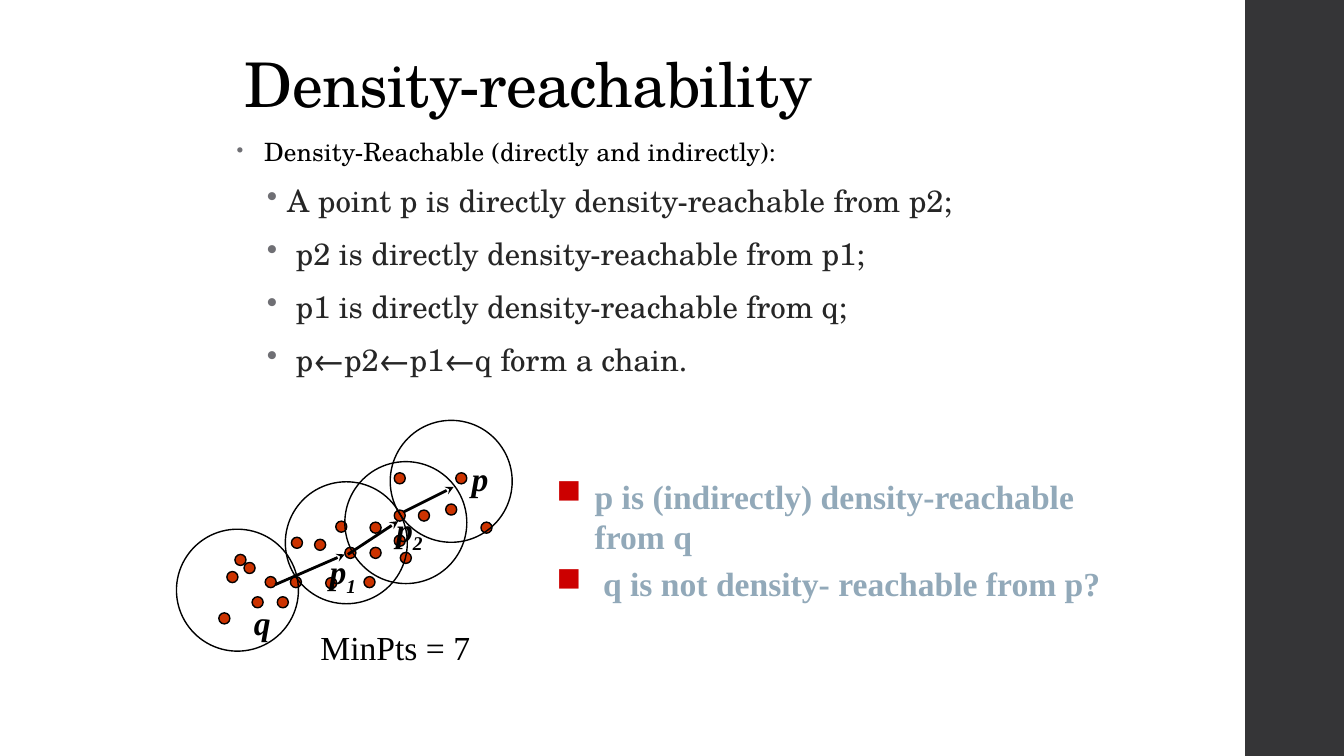
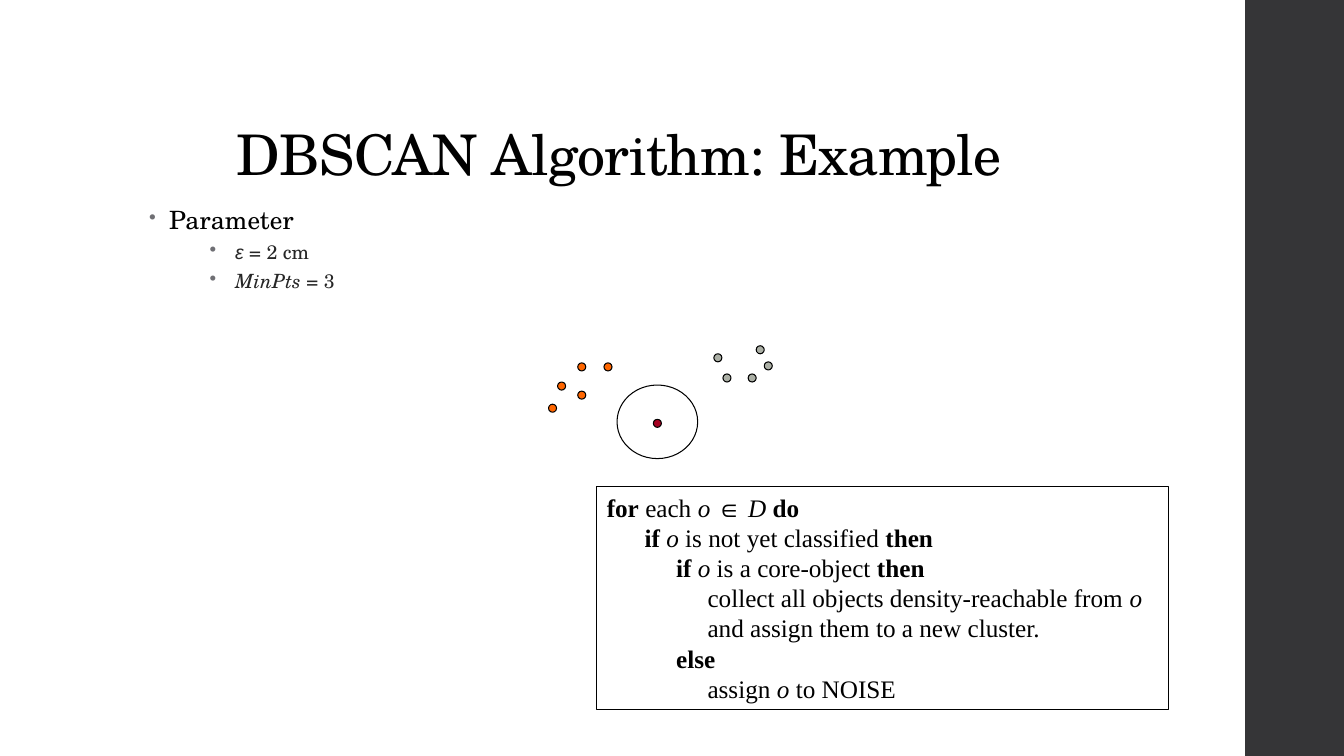
"""Build two slides on density-reachability and the DBSCAN algorithm."""
import lxml.etree
import pptx
import pptx.dml.color
import pptx.enum.shapes
import pptx.enum.text
import pptx.oxml.ns
import pptx.util

EMU_PER_PX = 9144


class Theme:
    """Colours, fonts, type sizes and paragraph formats of the deck."""

    ink, soft_ink, band = "000000", "262626", "353537"
    bullet, claim, claim_mark = "6F6F74", "92A9B9", "CC0000"
    point, cluster, unvisited, core = "CC3300", "FF6600", "ABAFA5", "A50021"
    schola, times, symbol = "TeX Gyre Schola", "Times New Roman", "Arial"

    title = {"name": schola, "color": ink, "spc": -50, "bold": False}
    lead = {"name": schola, "size": 18, "color": ink, "spc": 10}
    item = {"name": schola, "size": 22, "color": soft_ink}
    detail = {"name": schola, "size": 14, "color": soft_ink}
    statement = {"name": times, "size": 24, "color": claim, "bold": True}
    caption = {"name": times, "size": 24, "color": ink}
    label = {**caption, "bold": True, "italic": True}
    subscript = {**label, "baseline": -25000}
    code = {"name": times, "size": 18, "color": ink}
    keyword = {**code, "bold": True}
    variable = {**code, "italic": True}

    title_format = {"line_spacing": 0.9, "alignment": pptx.enum.text.PP_ALIGN.LEFT}
    lead_format = {"line_spacing": 0.95, "space_after": pptx.util.Pt(2),
                   "bullet": ("•", bullet, 20, 20, 80)}
    item_format = {"line_spacing": 0.9, "space_before": pptx.util.Pt(11),
                   "space_after": pptx.util.Pt(3), "bullet": ("•", bullet, 50, 20, 100)}
    detail_format = {**item_format, "space_before": pptx.util.Pt(3),
                     "bullet": ("•", bullet, 80, 20, 100)}
    statement_format = {"space_before": pptx.util.Pt(4.8),
                        "bullet": ("■", claim_mark, 38, 38, 100)}


def px(length):
    return pptx.util.Emu(length * EMU_PER_PX)


def rgb(value):
    return pptx.dml.color.RGBColor.from_string(value)


def add_xml(parent, tag, **attributes):
    return lxml.etree.SubElement(parent, pptx.oxml.ns.qn(tag), attributes)


class Deck:
    """Hold the theme and the current slide, and draw each kind of element."""

    def __init__(self, theme):
        self.theme = theme
        self.presentation = pptx.Presentation()
        self.presentation.slide_width = px(1333)
        self.presentation.slide_height = px(750)

    def new_slide(self, heading, box, size):
        layout = self.presentation.slide_layouts.get_by_name("Title Only")
        self.slide = self.presentation.slides.add_slide(layout)
        title = self.slide.shapes.title
        title.left, title.top, title.width, title.height = map(px, box)
        title.text_frame.vertical_anchor = pptx.enum.text.MSO_ANCHOR.BOTTOM
        self.fill_text(title.text_frame, [
            ([(heading, {**self.theme.title, "size": size})], self.theme.title_format)])
        self.shape("RECTANGLE", (1235, 0, 98, 750), self.theme.band)

    def fill_text(self, frame, paragraphs):
        frame.word_wrap = True
        frame.auto_size = pptx.enum.text.MSO_AUTO_SIZE.NONE
        for position, (runs, layout) in enumerate(paragraphs):
            paragraph = frame.add_paragraph() if position else frame.paragraphs[0]
            if "bullet" in layout:
                self.bullet(paragraph, *layout["bullet"])
            for name, value in layout.items():
                if name != "bullet" and (position or name != "space_before"):
                    setattr(paragraph, name, value)
            for text, style in runs:
                self.run(paragraph, text, style)

    def bullet(self, paragraph, mark, color, margin, hanging, percent):
        properties = paragraph._p.get_or_add_pPr()
        properties.set("marL", str(px(margin)))
        properties.set("indent", str(px(-hanging)))
        add_xml(add_xml(properties, "a:buClr"), "a:srgbClr", val=color)
        add_xml(properties, "a:buSzPct", val=str(percent * 1000))
        add_xml(properties, "a:buChar", char=mark)

    def run(self, paragraph, text, style):
        run = paragraph.add_run()
        run.text = text
        for name, value in style.items():
            if name == "color":
                run.font.color.rgb = rgb(value)
            elif name in ("spc", "baseline"):
                run._r.get_or_add_rPr().set(name, str(value))
            else:
                setattr(run.font, name, pptx.util.Pt(value) if name == "size" else value)

    def text(self, box, paragraphs, outline=None):
        textbox = self.slide.shapes.add_textbox(*map(px, box))
        self.fill_text(textbox.text_frame, paragraphs)
        if outline:
            self.outline(textbox.line, outline)

    def outline(self, line, width):
        line.color.rgb = rgb(self.theme.ink)
        line.width = pptx.util.Pt(width)

    def shape(self, kind, box, fill=None, outline=None):
        preset = getattr(pptx.enum.shapes.MSO_SHAPE, kind)
        shape = self.slide.shapes.add_shape(preset, *map(px, box))
        shape.shadow.inherit = False
        if fill:
            shape.fill.solid()
            shape.fill.fore_color.rgb = rgb(fill)
        else:
            shape.fill.background()
        if outline:
            self.outline(shape.line, outline)
        else:
            shape.line.fill.background()

    def circles(self, corners, diameter, fill=None, outline=1):
        for left, top in corners:
            self.shape("OVAL", (left, top, diameter, diameter), fill, outline)

    def arrow(self, start, end):
        arrow = self.slide.shapes.add_connector(
            pptx.enum.shapes.MSO_CONNECTOR.STRAIGHT, *map(px, (*start, *end)))
        self.outline(arrow.line, 2)
        add_xml(arrow.line._get_or_add_ln(), "a:tailEnd", type="stealth")
        add_xml(arrow._element.spPr, "a:effectLst")


def reachability_slide(deck):
    theme = deck.theme
    deck.new_slide("Density-reachability", (233, 0, 850, 125), 44)
    chain = ["A point p is directly density-reachable from p2;",
             " p2 is directly density-reachable from p1;",
             " p1 is directly density-reachable from q;",
             " p←p2←p1←q form a chain."]
    lead = " Density-Reachable (directly and indirectly):"
    deck.text((225, 133, 850, 450),
              [([(lead, theme.lead)], theme.lead_format)]
              + [([(step, theme.item)], theme.item_format) for step in chain])

    points = [(275, 592), (391, 506), (391, 469), (342, 543), (367, 518), (367, 543),
              (225, 567), (442, 500), (477, 518), (452, 469), (391, 531), (415, 506),
              (242, 558), (250, 592), (217, 608), (312, 535), (263, 572), (289, 533),
              (288, 572), (233, 550), (397, 548), (323, 573), (333, 517), (361, 572)]
    deck.circles(points, 11, theme.point)
    deck.circles([(342, 458), (283, 478), (387, 417), (175, 525)], 121)
    for start, end in [((273, 580), (342, 550)), ((345, 550), (395, 517)),
                       ((400, 508), (450, 483))]:
        deck.arrow(start, end)
    for left, top, width, letter, index in [(458, 449, 42, "p", ""), (242, 592, 42, "q", ""),
                                            (383, 500, 67, "p", "2"), (317, 542, 67, "p", "1")]:
        runs = [(letter, theme.label)] + ([(index, theme.subscript)] if index else [])
        deck.text((left, top, width, 51), [(runs, {})])

    claims = ["p is (indirectly) density-reachable from q",
              " q is not density- reachable from p?"]
    deck.text((542, 467, 567, 208),
              [([(claim, theme.statement)], theme.statement_format) for claim in claims])
    deck.text((308, 617, 317, 50), [([("MinPts = 7", theme.caption)], {})])


def algorithm_slide(deck):
    theme = deck.theme
    plain, keyword, variable = theme.code, theme.keyword, theme.variable
    deck.new_slide("DBSCAN Algorithm: Example", (225, 33, 892, 158), 40)
    epsilon = {**theme.detail, "name": theme.symbol, "italic": True}
    min_pts = {**theme.detail, "italic": True}
    deck.text((138, 200, 940, 476), [
        ([("Parameter", theme.lead)], theme.lead_format),
        ([(" ", theme.detail), ("ε", epsilon), (" = 2 cm", theme.detail)], theme.detail_format),
        ([(" ", theme.detail), ("MinPts", min_pts), (" = 3", theme.detail)], theme.detail_format)])

    clustered = [(544, 401), (573, 360), (599, 360), (553, 379), (573, 388)]
    unvisited = [(717, 371), (708, 351), (742, 371), (758, 359), (750, 343)]
    deck.shape("OVAL", (612, 382, 80, 73), outline=0.75)
    for corners, fill in [(clustered, theme.cluster), (unvisited, theme.unvisited),
                          ([(648, 416)], theme.core)]:
        deck.circles(corners, 8, fill, 0.75)

    pseudocode = [
        [("for", keyword), (" each ", plain), ("o ", variable),
         ("∈", {**plain, "name": theme.symbol}), (" D ", variable), ("do", keyword)],
        [("      if ", keyword), ("o", variable), (" is not yet classified ", plain),
         ("then", keyword)],
        [("           if ", keyword), ("o", variable), (" is a core-object ", plain),
         ("then", keyword)],
        [("                collect all objects density-reachable from ", plain),
         ("o", variable)],
        [("                and assign them to a new cluster.", plain)],
        [("           ", plain), ("else", keyword)],
        [("                assign ", plain), ("o", variable), (" to NOISE", plain)]]
    deck.text((592, 483, 567, 221), [(line, {}) for line in pseudocode], outline=0.75)


def main():
    deck = Deck(Theme())
    reachability_slide(deck)
    algorithm_slide(deck)
    deck.presentation.save("out.pptx")


if __name__ == "__main__":
    main()
